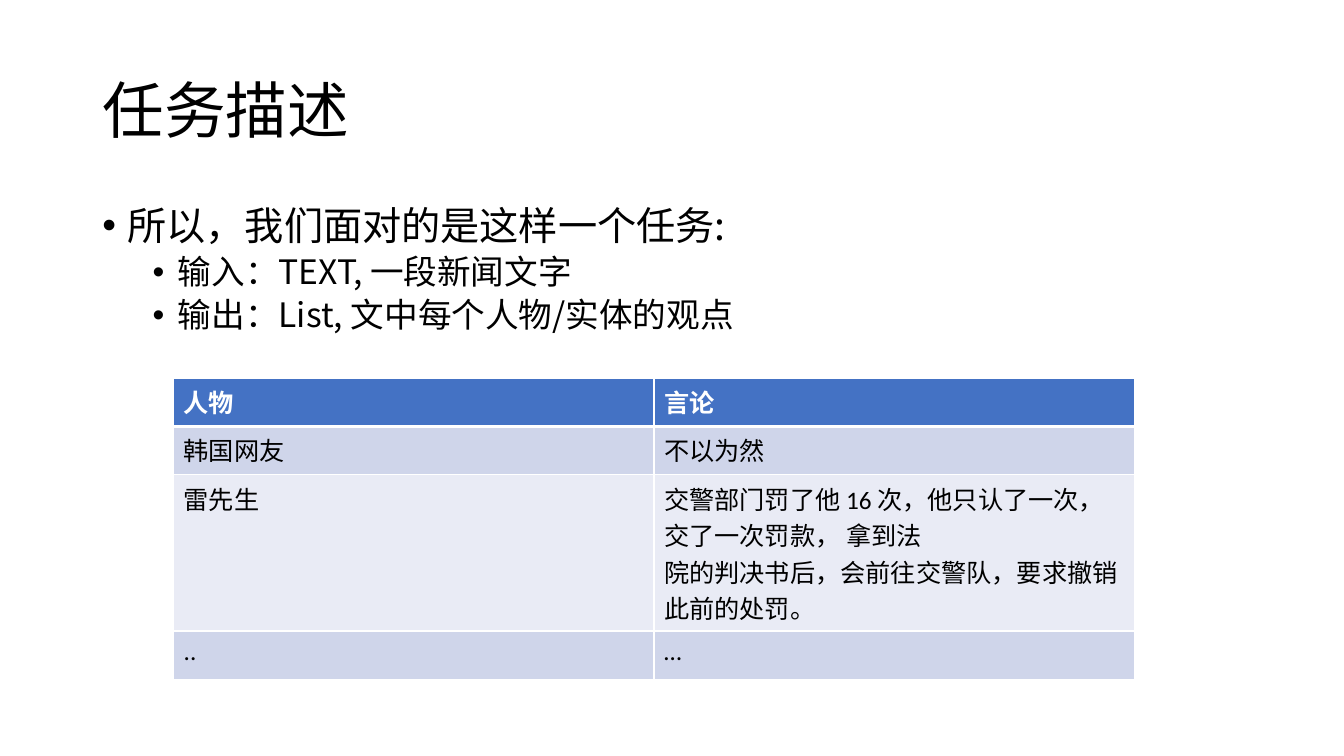
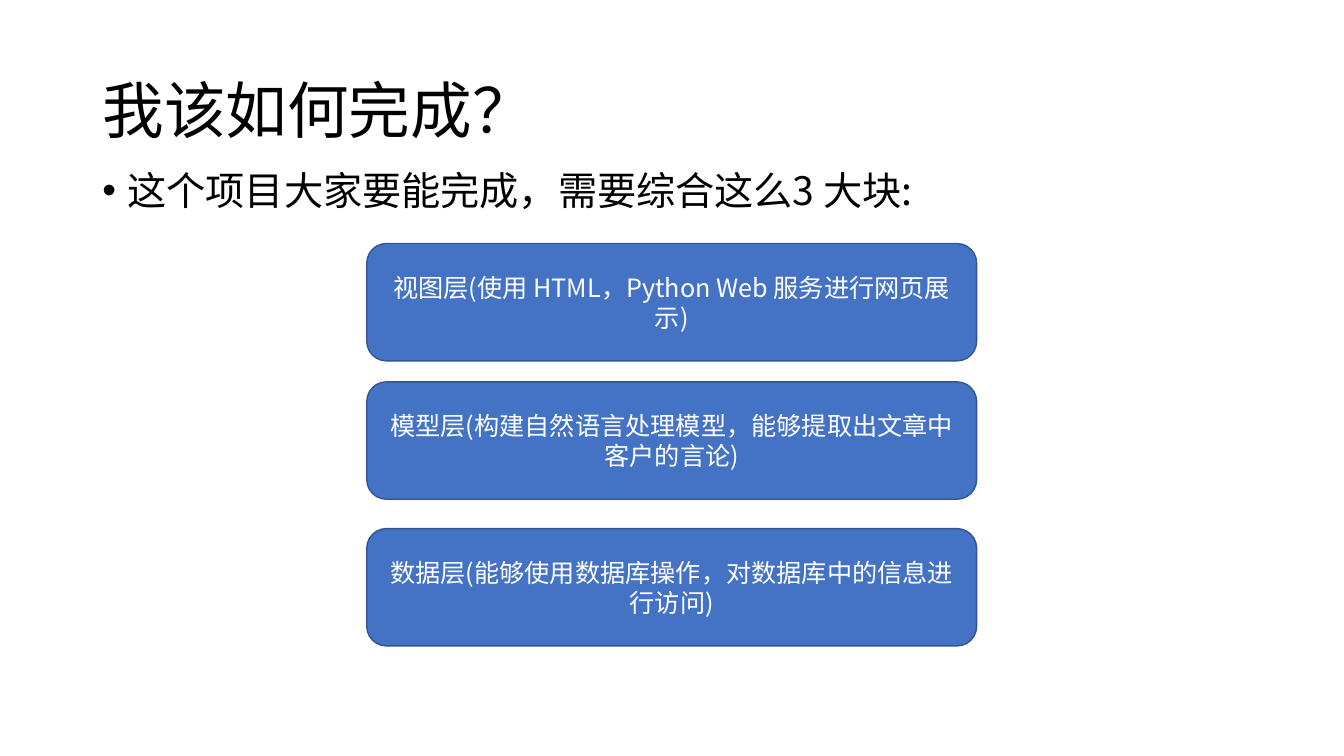
from lxml import etree
from pptx import Presentation
from pptx.dml.color import RGBColor
from pptx.enum.shapes import MSO_SHAPE as Shape
from pptx.enum.text import MSO_ANCHOR as Anchor, PP_ALIGN as Align
from pptx.oxml.ns import qn
from pptx.util import Pt

COLOURS = {
    "text": "000000",
    "light": "FFFFFF",
    "accent": "4472C4",
    "outline": "325491",
    "odd_row": "CFD5EA",
    "even_row": "E9EBF5",
}
CJK_FONT = "Noto Sans CJK SC"
LATIN_FONT = "Calibri"
MARGIN, CONTENT_WIDTH = 66, 828
BULLET_LEVELS = [
    {"size": 28, "indent": 18, "before": 10},
    {"size": 24, "indent": 54, "before": 5},
]
TITLE_FRAME = {"left": Pt(MARGIN), "top": Pt(28.75), "width": Pt(CONTENT_WIDTH), "height": Pt(104.4)}


def colour(name):
    return RGBColor.from_string(COLOURS[name])


def set_attributes(target, values):
    for name, value in values.items():
        setattr(target, name, value)


def paint(fill, name):
    fill.solid()
    fill.fore_color.rgb = colour(name)


def write(paragraph, text, size, ink="text", latin=CJK_FONT, bold=False, **layout):
    set_attributes(paragraph, layout)
    run = paragraph.add_run()
    run.text = text
    set_attributes(run.font, {"size": Pt(size), "name": latin, "bold": bold})
    run.font.color.rgb = colour(ink)
    latin_tag = run.font._element.find(qn("a:latin"))
    east_asian = etree.Element(qn("a:ea"), typeface=CJK_FONT)
    latin_tag.addnext(east_asian)


def add_titled_slide(deck, heading):
    slide = deck.slides.add_slide(deck.slide_layouts[5])
    title = slide.shapes.title
    set_attributes(title, TITLE_FRAME)
    set_attributes(title.text_frame, {"vertical_anchor": Anchor.MIDDLE, "word_wrap": True})
    write(title.text_frame.paragraphs[0], heading, 44, alignment=Align.LEFT, line_spacing=0.9)
    return slide


def add_bullets(slide, top, height, items):
    frame = slide.shapes.add_textbox(Pt(MARGIN), Pt(top), Pt(CONTENT_WIDTH), Pt(height)).text_frame
    frame.word_wrap = True
    for index, (depth, text) in enumerate(items):
        paragraph = frame.add_paragraph() if index else frame.paragraphs[0]
        level = BULLET_LEVELS[depth]
        write(paragraph, text, level["size"], level=depth, line_spacing=0.9,
              space_before=Pt(level["before"]))
        properties = paragraph._p.get_or_add_pPr()
        properties.set("marL", str(Pt(level["indent"])))
        properties.set("indent", str(Pt(-18)))
        etree.SubElement(properties, qn("a:buFont"), typeface="Arial")
        etree.SubElement(properties, qn("a:buChar"), char="•")


def add_borders(cell, widths):
    properties = cell._tc.get_or_add_tcPr()
    for position, (side, width) in enumerate(widths.items()):
        border = etree.Element(qn(f"a:ln{side}"), w=str(Pt(width)))
        fill = etree.SubElement(border, qn("a:solidFill"))
        etree.SubElement(fill, qn("a:srgbClr"), val=COLOURS["light"])
        properties.insert(position, border)


def add_opinion_table(slide, left, top, column_width, row_heights, rows):
    columns = len(rows[0])
    table = slide.shapes.add_table(len(rows), columns, Pt(left), Pt(top),
                                   Pt(column_width * columns), Pt(sum(row_heights))).table
    for column in table.columns:
        column.width = Pt(column_width)
    for index, (height, texts) in enumerate(zip(row_heights, rows)):
        table.rows[index].height = Pt(height)
        header = index == 0
        background = "accent" if header else ("odd_row" if index % 2 else "even_row")
        borders = {"L": 1, "R": 1, "T": 3 if index == 1 else 1, "B": 3 if header else 1}
        for cell, text in zip(table.rows[index].cells, texts):
            paint(cell.fill, background)
            add_borders(cell, borders)
            for line, part in enumerate(text.split("\n")):
                frame = cell.text_frame
                paragraph = frame.add_paragraph() if line else frame.paragraphs[0]
                write(paragraph, part, 18, "light" if header else "text", LATIN_FONT, header)


def add_layer_box(slide, top, text):
    box = slide.shapes.add_shape(Shape.ROUNDED_RECTANGLE, Pt(262), Pt(top), Pt(435.6), Pt(83.8))
    box.shadow.inherit = False
    paint(box.fill, "accent")
    box.line.color.rgb = colour("outline")
    box.line.width = Pt(1)
    set_attributes(box.text_frame, {"word_wrap": True, "vertical_anchor": Anchor.MIDDLE})
    write(box.text_frame.paragraphs[0], text, 18, "light", alignment=Align.CENTER)


def main():
    deck = Presentation()
    set_attributes(deck, {"slide_width": Pt(960), "slide_height": Pt(540)})

    task = add_titled_slide(deck, "任务描述")
    add_bullets(task, 143.75, 120, [
        (0, "所以，我们面对的是这样一个任务:"),
        (1, "输入：TEXT, 一段新闻文字"),
        (1, "输出：List, 文中每个人物/实体的观点"),
    ])
    add_opinion_table(task, 124, 270, 343.2, [34.6, 34.6, 111.6, 34.6], [
        ("人物", "言论"),
        ("韩国网友", "不以为然"),
        ("雷先生", "交警部门罚了他 16 次，他只认了一次，交了一次罚款， 拿到法\n"
                "院的判决书后，会前往交警队，要求撤销此前的处罚。"),
        ("..", "…"),
    ])

    approach = add_titled_slide(deck, "我该如何完成？")
    add_bullets(approach, 119, 50, [(0, "这个项目大家要能完成，需要综合这么3 大块:")])
    layers = [
        (174, "视图层(使用 HTML，Python Web 服务进行网页展示)"),
        (272.8, "模型层(构建自然语言处理模型，能够提取出文章中客户的言论)"),
        (377.6, "数据层(能够使用数据库操作，对数据库中的信息进行访问)"),
    ]
    for top, text in layers:
        add_layer_box(approach, top, text)

    deck.save("out.pptx")


if __name__ == "__main__":
    main()
